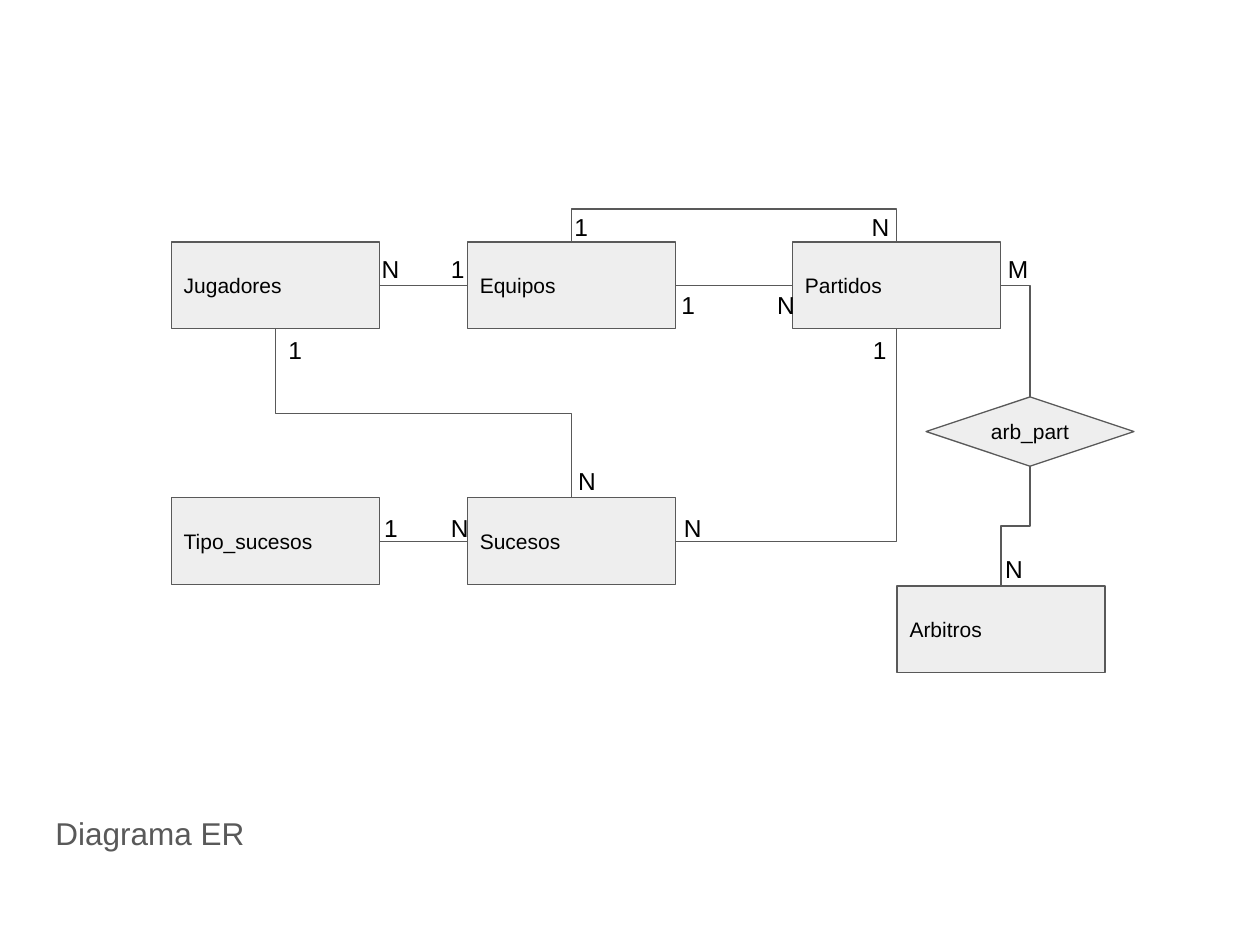
from lxml import etree
from pptx import Presentation
from pptx import util as u
from pptx.dml.color import RGBColor
from pptx.enum import shapes, text
from pptx.oxml.ns import qn

COLORS = {"fill": "EEEEEE", "line": "595959", "title": "595959", "text": "000000"}
TOP, LEFT, BOTTOM, RIGHT = range(4)


def write(shape, words, size, color, anchor, align=text.PP_ALIGN.LEFT):
    frame = shape.text_frame
    frame.word_wrap = True
    frame.vertical_anchor = anchor
    frame.margin_left = frame.margin_right = u.Inches(0.1)
    frame.margin_top = frame.margin_bottom = u.Inches(0.1)
    paragraph = frame.paragraphs[0]
    paragraph.alignment = align
    run = paragraph.add_run()
    run.text = words
    run.font.name = "Arial"
    run.font.size = u.Pt(size)
    run.font.color.rgb = RGBColor.from_string(COLORS[color])


def connect(kind, start, start_side, end, end_side):
    connector = slide.shapes.add_connector(kind, 0, 0, 0, 0)
    connector.begin_connect(entities[start], start_side)
    connector.end_connect(entities[end], end_side)
    connector.line.color.rgb = RGBColor.from_string(COLORS["line"])
    connector.line.width = u.Pt(0.75)
    etree.SubElement(connector._element.spPr, qn("a:effectLst"))
    return connector


presentation = Presentation()
presentation.slide_width = u.Inches(10)
presentation.slide_height = u.Inches(7.5)
slide = presentation.slides.add_slide(presentation.slide_layouts[5])

# Title
title = slide.shapes.title
title.left, title.top = u.Inches(0.34), u.Inches(6.17)
title.width, title.height = u.Inches(6.56), u.Inches(0.88)
write(title, "Diagrama ER", 18, "title", text.MSO_ANCHOR.MIDDLE)

# Entities and the relationship diamond
entities = {}
for name, left, top in [
    ("Jugadores", 1.36, 1.92),
    ("Equipos", 3.71, 1.92),
    ("Partidos", 6.29, 1.92),
    ("Tipo_sucesos", 1.36, 3.95),
    ("Sucesos", 3.71, 3.95),
    ("Arbitros", 7.12, 4.65),
    ("arb_part", 7.35, 3.15),
]:
    diamond = name == "arb_part"
    kind = shapes.MSO_SHAPE.FLOWCHART_DECISION if diamond else shapes.MSO_SHAPE.RECTANGLE
    entity = slide.shapes.add_shape(
        kind, u.Inches(left), u.Inches(top),
        u.Inches(1.65), u.Inches(0.55 if diamond else 0.69))
    entity.shadow.inherit = False
    entity.fill.solid()
    entity.fill.fore_color.rgb = RGBColor.from_string(COLORS["fill"])
    entity.line.color.rgb = RGBColor.from_string(COLORS["line"])
    entity.line.width = u.Pt(0.75)
    align = text.PP_ALIGN.CENTER if diamond else text.PP_ALIGN.LEFT
    write(entity, name, 12, "text", text.MSO_ANCHOR.MIDDLE, align)
    entities[name] = entity

# Straight relationships
for start, end in [("Jugadores", "Equipos"), ("Equipos", "Partidos"),
                   ("Tipo_sucesos", "Sucesos")]:
    connect(shapes.MSO_CONNECTOR.STRAIGHT, start, RIGHT, end, LEFT)

# Bent relationships: ends, rotation, horizontal flip, preset, bend position
for start, start_side, end, end_side, rotation, flip, preset, bend in [
    ("Equipos", TOP, "Partidos", TOP, 270, True, "bentConnector3", -26),
    ("Jugadores", BOTTOM, "Sucesos", TOP, 270, True, "bentConnector3", 0.5),
    ("Partidos", RIGHT, "arb_part", TOP, 0, False, "bentConnector2", None),
    ("arb_part", BOTTOM, "Arbitros", TOP, 90, False, "bentConnector3", 0.5),
    ("Sucesos", RIGHT, "Partidos", BOTTOM, 180, True, "bentConnector2", None),
]:
    connector = connect(shapes.MSO_CONNECTOR.ELBOW, start, start_side, end, end_side)
    center_x = (connector.begin_x + connector.end_x) // 2
    center_y = (connector.begin_y + connector.end_y) // 2
    width, height = connector.width, connector.height
    if rotation in (90, 270):  # the frame is stored unrotated
        width, height = height, width
    width = max(width, u.Inches(0.01))  # the bend is a share of the width
    connector.left, connector.top = center_x - width // 2, center_y - height // 2
    connector.width, connector.height = width, height
    properties = connector._element.spPr
    frame = properties.find(qn("a:xfrm"))
    frame.set("rot", str(rotation * 60000))
    frame.set("flipH", str(int(flip)))
    frame.set("flipV", "0")
    geometry = properties.find(qn("a:prstGeom"))
    geometry.set("prst", preset)
    if bend is not None:
        adjustments = geometry.find(qn("a:avLst"))
        if adjustments is None:
            adjustments = etree.SubElement(geometry, qn("a:avLst"))
        guide = etree.SubElement(adjustments, qn("a:gd"))
        guide.set("name", "adj1")
        guide.set("fmla", f"val {int(bend * 100000)}")

# Cardinalities
for label, left, top, width in [
    ("N", 2.93, 1.92, 0.25), ("1", 3.48, 1.92, 0.3),
    ("1", 4.46, 1.58, 0.3), ("N", 6.82, 1.58, 0.3),
    ("1", 5.31, 2.2, 0.3), ("N", 6.07, 2.2, 0.3),
    ("M", 7.9, 1.92, 0.3), ("N", 7.88, 4.3, 0.3),
    ("1", 2.19, 2.56, 0.3), ("N", 4.49, 3.6, 0.25),
    ("1", 2.95, 3.97, 0.3), ("N", 3.48, 3.97, 0.24),
    ("N", 5.33, 3.97, 0.3), ("1", 6.83, 2.56, 0.3),
]:
    box = slide.shapes.add_textbox(
        u.Inches(left), u.Inches(top), u.Inches(width), u.Inches(0.44))
    write(box, label, 14, "text", text.MSO_ANCHOR.TOP)
    box.text_frame.auto_size = text.MSO_AUTO_SIZE.SHAPE_TO_FIT_TEXT

presentation.save("out.pptx")
